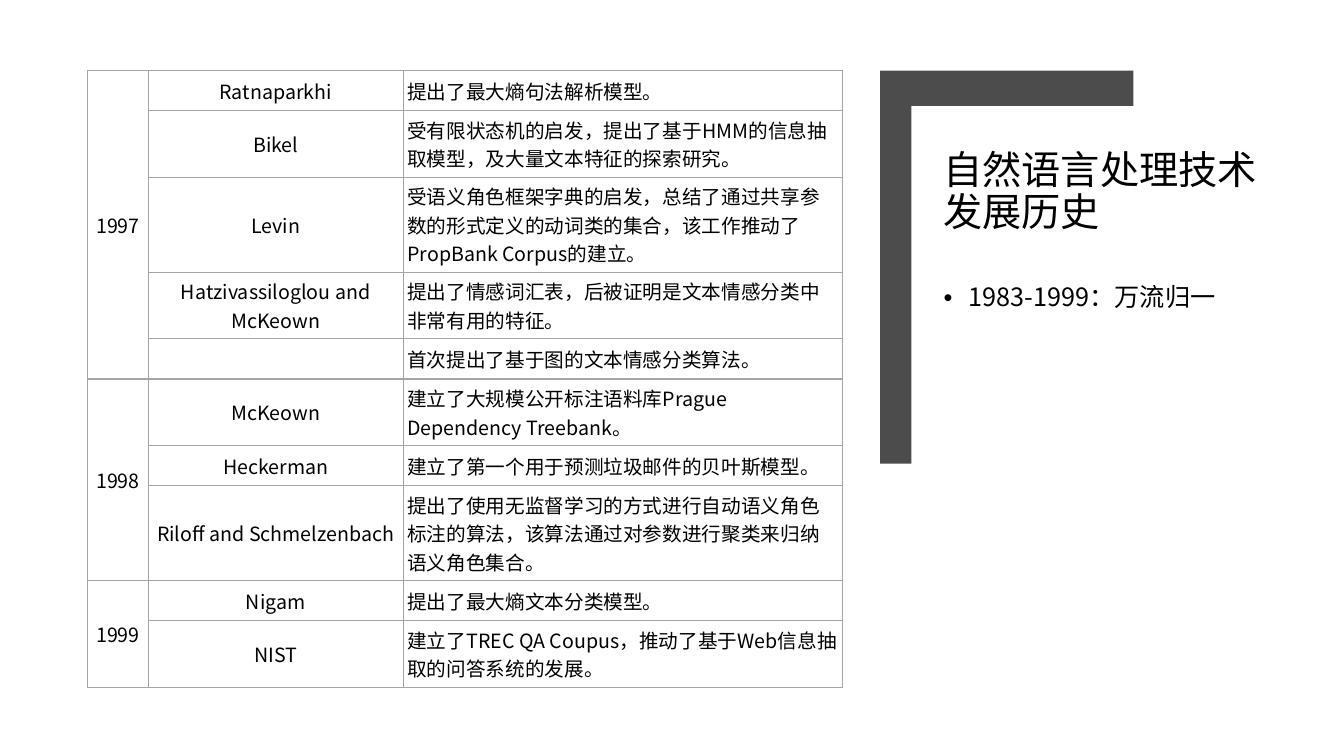
import lxml.etree
import pptx
import pptx.dml.color
import pptx.enum.text
import pptx.oxml.ns
import pptx.util

Inches = pptx.util.Inches
ALIGN = pptx.enum.text.PP_ALIGN
ANCHOR = pptx.enum.text.MSO_ANCHOR
BLACK = pptx.dml.color.RGBColor(0x00, 0x00, 0x00)
DARK_GRAY = pptx.dml.color.RGBColor(0x4C, 0x4C, 0x4C)
BORDER_GRAY = pptx.dml.color.RGBColor(0xA5, 0xA5, 0xA5)
FONT = "Noto Sans CJK SC"

COLUMN_WIDTHS = (0.6, 2.53, 4.36)
ROW_HEIGHTS = {1: 0.4, 2: 0.66, 3: 0.94}
HISTORY = {
    "1997": [
        ("Ratnaparkhi", "提出了最大熵句法解析模型。", 1),
        ("Bikel", "受有限状态机的启发，提出了基于HMM的信息抽取模型，及大量文本特征的探索研究。", 2),
        ("Levin", "受语义角色框架字典的启发，总结了通过共享参数的形式定义的动词类的集合，"
                  "该工作推动了PropBank Corpus的建立。", 3),
        ("Hatzivassiloglou and McKeown", "提出了情感词汇表，后被证明是文本情感分类中非常有用的特征。", 2),
        ("", "首次提出了基于图的文本情感分类算法。", 1),
    ],
    "1998": [
        ("McKeown", "建立了大规模公开标注语料库Prague Dependency Treebank。", 2),
        ("Heckerman", "建立了第一个用于预测垃圾邮件的贝叶斯模型。", 1),
        ("Riloff and Schmelzenbach", "提出了使用无监督学习的方式进行自动语义角色标注的算法，"
                                     "该算法通过对参数进行聚类来归纳语义角色集合。", 3),
    ],
    "1999": [
        ("Nigam", "提出了最大熵文本分类模型。", 1),
        ("NIST", "建立了TREC QA Coupus，推动了基于Web信息抽取的问答系统的发展。", 2),
    ],
}


def add_element(parent, tag, **attributes):
    """Append a DrawingML element with the given attributes."""
    return lxml.etree.SubElement(parent, pptx.oxml.ns.qn(tag), attributes)


def write_text(frame, text, size, align=ALIGN.LEFT, anchor=ANCHOR.TOP,
               line_spacing=None, space_before=0, bullet_indent=None):
    """Write one formatted paragraph into a text frame."""
    frame.word_wrap = True
    frame.vertical_anchor = anchor
    paragraph = frame.paragraphs[0]
    paragraph.alignment = align
    paragraph.line_spacing = line_spacing
    paragraph.space_before = pptx.util.Pt(space_before)
    if bullet_indent:
        properties = paragraph._p.get_or_add_pPr()
        properties.set("marL", str(Inches(bullet_indent)))
        properties.set("indent", str(-Inches(bullet_indent)))
        add_element(properties, "a:buFont", typeface="Arial")
        add_element(properties, "a:buChar", char="•")
    if not text:
        add_element(paragraph._p, "a:endParaRPr", sz=str(size * 100))
        return
    run = paragraph.add_run()
    run.text = text
    run.font.size = pptx.util.Pt(size)
    run.font.name = FONT
    run.font.color.rgb = BLACK
    add_element(run._r.get_or_add_rPr(), "a:ea", typeface=FONT)


def format_cell(cell):
    """Give a cell thin gray borders, no fill and narrow margins."""
    cell.margin_left = cell.margin_right = Inches(0.04)
    cell.margin_top = cell.margin_bottom = Inches(0.04)
    properties = cell._tc.get_or_add_tcPr()
    for side in ("a:lnL", "a:lnR", "a:lnT", "a:lnB"):
        line = add_element(properties, side, w=str(pptx.util.Pt(1)))
        fill = add_element(line, "a:solidFill")
        add_element(fill, "a:srgbClr", val=str(BORDER_GRAY))
    cell.fill.background()


def add_history_table(slide, left, top):
    """Build the table of years, researchers and contributions."""
    entries = [entry for group in HISTORY.values() for entry in group]
    heights = [ROW_HEIGHTS[lines] for _, _, lines in entries]
    frame = slide.shapes.add_table(
        len(entries), len(COLUMN_WIDTHS), Inches(left), Inches(top),
        Inches(sum(COLUMN_WIDTHS)), Inches(sum(heights)))
    table = frame.table
    table.first_row = table.horz_banding = False
    for column, width in zip(table.columns, COLUMN_WIDTHS):
        column.width = Inches(width)
    for row, height in zip(table.rows, heights):
        row.height = Inches(height)
    for cell in table.iter_cells():
        format_cell(cell)
    for index, (researcher, contribution, _) in enumerate(entries):
        write_text(table.cell(index, 1).text_frame, researcher, 14, align=ALIGN.CENTER)
        write_text(table.cell(index, 2).text_frame, contribution, 14)
    first = 0
    for year, group in HISTORY.items():
        year_cell = table.cell(first, 0)
        year_cell.merge(table.cell(first + len(group) - 1, 0))
        write_text(year_cell.text_frame, year, 14, align=ALIGN.CENTER)
        first += len(group)
    for cell in table.iter_cells():
        cell.vertical_anchor = ANCHOR.MIDDLE


def add_corner_bracket(slide, left, top, width, height):
    """Draw the dark bracket around the upper left of the heading."""
    bar_width, bar_height = 0.31, 0.35
    outline = [(width, 0), (width, bar_height), (bar_width, bar_height),
               (bar_width, height), (0, height)]
    builder = slide.shapes.build_freeform(Inches(left), Inches(top))
    builder.add_line_segments(
        [(Inches(left + x), Inches(top + y)) for x, y in outline], close=True)
    bracket = builder.convert_to_shape()
    bracket.shadow.inherit = False
    bracket.fill.solid()
    bracket.fill.fore_color.rgb = DARK_GRAY
    bracket.line.fill.background()


def add_heading(slide, left, top, width):
    """Place the title and the bulleted period below it."""
    title = slide.shapes.add_textbox(
        Inches(left), Inches(top), Inches(width), Inches(1.41))
    write_text(title.text_frame, "自然语言处理技术发展历史", 28,
               anchor=ANCHOR.MIDDLE, line_spacing=0.9)
    period = slide.shapes.add_textbox(
        Inches(left), Inches(top + 1.57), Inches(width), Inches(4.02))
    write_text(period.text_frame, "1983-1999：万流归一", 18,
               line_spacing=0.9, space_before=10, bullet_indent=0.25)


def main():
    """Build and save the slide."""
    presentation = pptx.Presentation()
    presentation.slide_width = Inches(13.33)
    presentation.slide_height = Inches(7.5)
    slide = presentation.slides.add_slide(presentation.slide_layouts[6])
    add_heading(slide, 9.26, 1.21, 3.34)
    add_corner_bracket(slide, 8.73, 0.7, 2.51, 3.9)
    add_history_table(slide, 0.87, 0.7)
    presentation.save("out.pptx")


if __name__ == "__main__":
    main()
